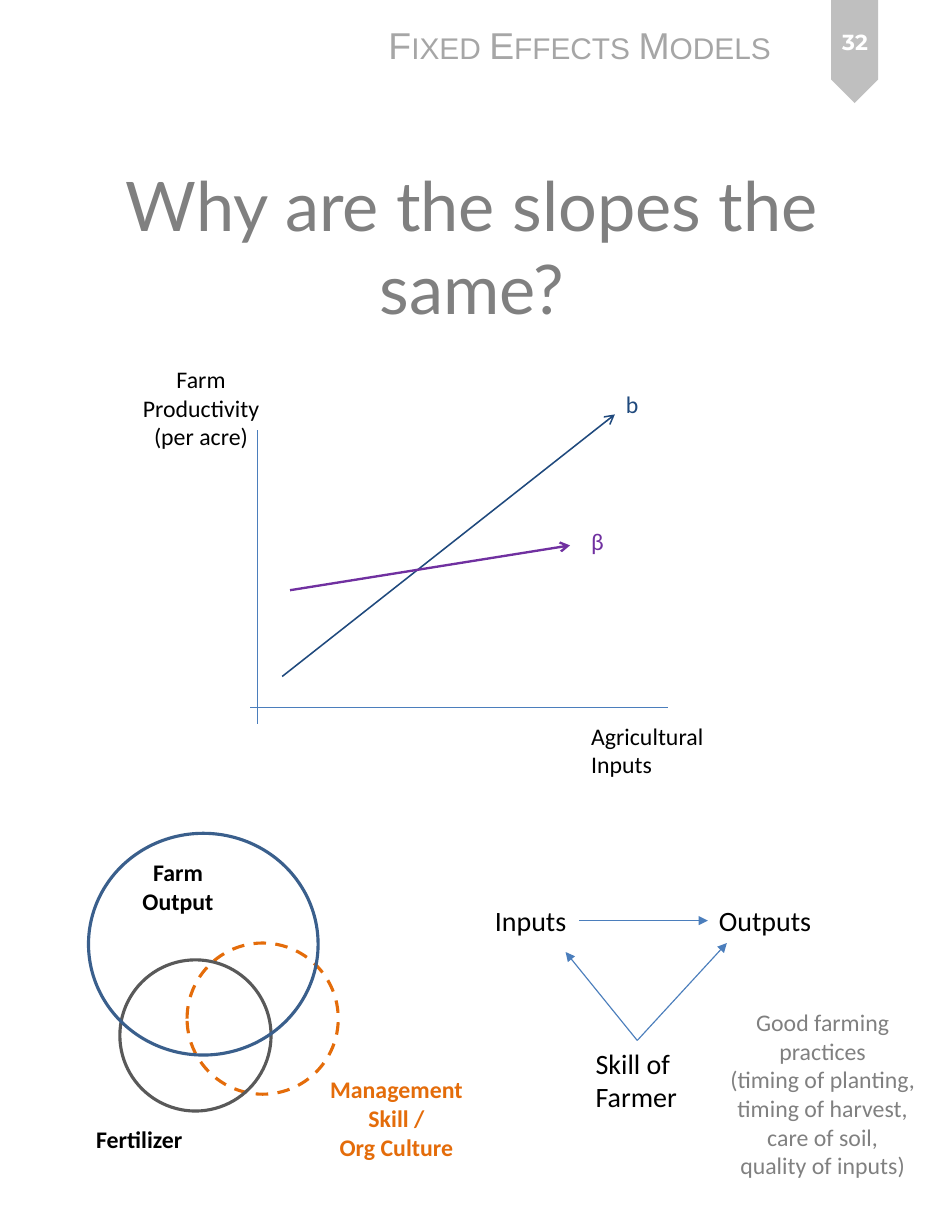
from lxml.etree import SubElement
from pptx import Presentation
from pptx.dml.color import RGBColor
from pptx.enum.dml import MSO_LINE
from pptx.enum.shapes import MSO_CONNECTOR, MSO_SHAPE
from pptx.enum.text import MSO_ANCHOR, MSO_AUTO_SIZE, PP_ALIGN
from pptx.oxml.ns import qn
from pptx.util import Inches, Pt

BLACK = RGBColor(0x00, 0x00, 0x00)
WHITE = RGBColor(0xFF, 0xFF, 0xFF)
SILVER = RGBColor(0xBF, 0xBF, 0xBF)
ASH = RGBColor(0xA6, 0xA6, 0xA6)
GRAY = RGBColor(0x80, 0x80, 0x80)
DARK = RGBColor(0x59, 0x59, 0x59)
ORANGE = RGBColor(0xE4, 0x6C, 0x0A)
STEEL = RGBColor(0x3A, 0x5F, 0x8C)
BLUE = RGBColor(0x4B, 0x7E, 0xBC)
NAVY = RGBColor(0x1F, 0x49, 0x7D)
PURPLE = RGBColor(0x70, 0x30, 0xA0)
LEFT, CENTER = PP_ALIGN.LEFT, PP_ALIGN.CENTER

deck = Presentation()
deck.slide_width, deck.slide_height = Inches(8.5), Inches(11)
slide = deck.slides.add_slide(deck.slide_layouts[5])
shapes = slide.shapes


def write(box, text, size, color, align=LEFT, bold=False, font="Calibri"):
    frame = box.text_frame
    frame.text = text
    for para in frame.paragraphs:
        para.alignment = align
        for run in para.runs:
            run.font.name = font
            run.font.size = Pt(size)
            run.font.bold = bold
            run.font.color.rgb = color


def draw(start, end, color, width, head=None):
    """Add a straight line, with an arrowhead of type head at its end."""
    line = shapes.add_connector(MSO_CONNECTOR.STRAIGHT,
                                *[Inches(v) for v in start + end])
    line.line.color.rgb = color
    line.line.width = Pt(width)
    if head:
        SubElement(line.line._get_or_add_ln(), qn("a:tailEnd"), type=head)
    SubElement(line._element.spPr, qn("a:effectLst"))


# Page tag and running header
tag = shapes.add_shape(MSO_SHAPE.PENTAGON, Inches(7.17), Inches(0.25),
                       Inches(0.92), Inches(0.42))
tag.rotation = 90
tag.shadow.inherit = False
tag.fill.solid()
tag.fill.fore_color.rgb = SILVER
tag.line.fill.background()

header = shapes.add_textbox(Inches(3.37), Inches(0.15), Inches(3.68), Inches(0.5))
header.text_frame.word_wrap = False
write(header, "Fixed Effects Models", 24, ASH, font="Arial")
header.text_frame.paragraphs[0].runs[0]._r.get_or_add_rPr().set("cap", "small")

number = shapes.add_textbox(Inches(7.26), Inches(0.08), Inches(0.75), Inches(0.59))
number.text_frame.word_wrap = True
number.text_frame.vertical_anchor = MSO_ANCHOR.MIDDLE
write(number, "32", 14, WHITE, CENTER, True, "Montserrat")

# Title
title = shapes.title
title.left, title.top = Inches(0.39), Inches(1.41)
title.width, title.height = Inches(7.65), Inches(1.83)
title.text_frame.word_wrap = True
title.text_frame.auto_size = MSO_AUTO_SIZE.NONE
title.text_frame.vertical_anchor = MSO_ANCHOR.TOP
write(title, "Why are the slopes the same?", 44, GRAY, CENTER, font="Lato")

# Overlapping circles
for x, y, wide, high, color, dash in [
    (1.67, 8.42, 1.35, 1.35, ORANGE, MSO_LINE.DASH),
    (1.07, 8.57, 1.35, 1.35, DARK, None),
    (0.79, 7.44, 2.05, 1.98, STEEL, None),
]:
    ring = shapes.add_shape(MSO_SHAPE.OVAL, Inches(x), Inches(y),
                            Inches(wide), Inches(high))
    ring.shadow.inherit = False
    ring.fill.background()
    ring.line.color.rgb = color
    ring.line.width = Pt(2)
    ring.line.dash_style = dash

# Axes, slopes and causal triangle
for start, end, color, width, head in [
    ((2.3, 3.84), (2.3, 6.46), BLUE, 0.75, None),
    ((5.96, 6.32), (2.23, 6.32), BLUE, 0.75, None),
    ((2.52, 6.04), (5.49, 3.7), NAVY, 1, "arrow"),
    ((2.59, 5.27), (5.09, 4.87), PURPLE, 1.5, "arrow"),
    ((5.17, 8.22), (6.32, 8.22), BLUE, 0.75, "triangle"),
    ((5.69, 9.29), (6.49, 8.42), BLUE, 0.75, "triangle"),
    ((5.69, 9.29), (5.05, 8.5), BLUE, 0.75, "triangle"),
]:
    draw(start, end, color, width, head)

# Labels: \v breaks a line, \n starts a paragraph
for text, x, y, wide, high, size, color, align, bold in [
    ("Farm\vOutput", 1.17, 7.61, 0.84, 0.62, 15.3, BLACK, CENTER, True),
    ("Management\nSkill /\vOrg Culture", 2.84, 9.55, 1.4, 0.87, 15.3, ORANGE,
     CENTER, True),
    ("Fertilizer", 0.76, 9.99, 0.98, 0.36, 15.3, BLACK, LEFT, True),
    ("Agricultural\vInputs", 5.18, 6.39, 1.26, 0.62, 15.3, BLACK, LEFT, False),
    ("Farm\vProductivity\v(per acre)", 1.17, 3.21, 1.25, 0.87, 15.3, BLACK,
     CENTER, False),
    ("b", 5.49, 3.43, 0.31, 0.36, 15.3, NAVY, LEFT, False),
    ("β", 5.18, 4.65, 0.32, 0.36, 15.3, PURPLE, LEFT, False),
    ("Inputs", 4.32, 8.02, 0.85, 0.4, 18, BLACK, LEFT, False),
    ("Outputs", 6.32, 8.02, 1.03, 0.4, 18, BLACK, LEFT, False),
    ("Skill of\nFarmer", 5.22, 9.29, 0.93, 0.71, 18, BLACK, LEFT, False),
    ("Good farming\vpractices\v(timing of planting,\n"
     "timing of harvest,\vcare of soil,\vquality of inputs)",
     6.39, 8.95, 1.91, 1.65, 15.3, GRAY, CENTER, False),
]:
    label = shapes.add_textbox(Inches(x), Inches(y), Inches(wide), Inches(high))
    label.text_frame.word_wrap = False
    write(label, text, size, color, align, bold)

deck.save("out.pptx")
